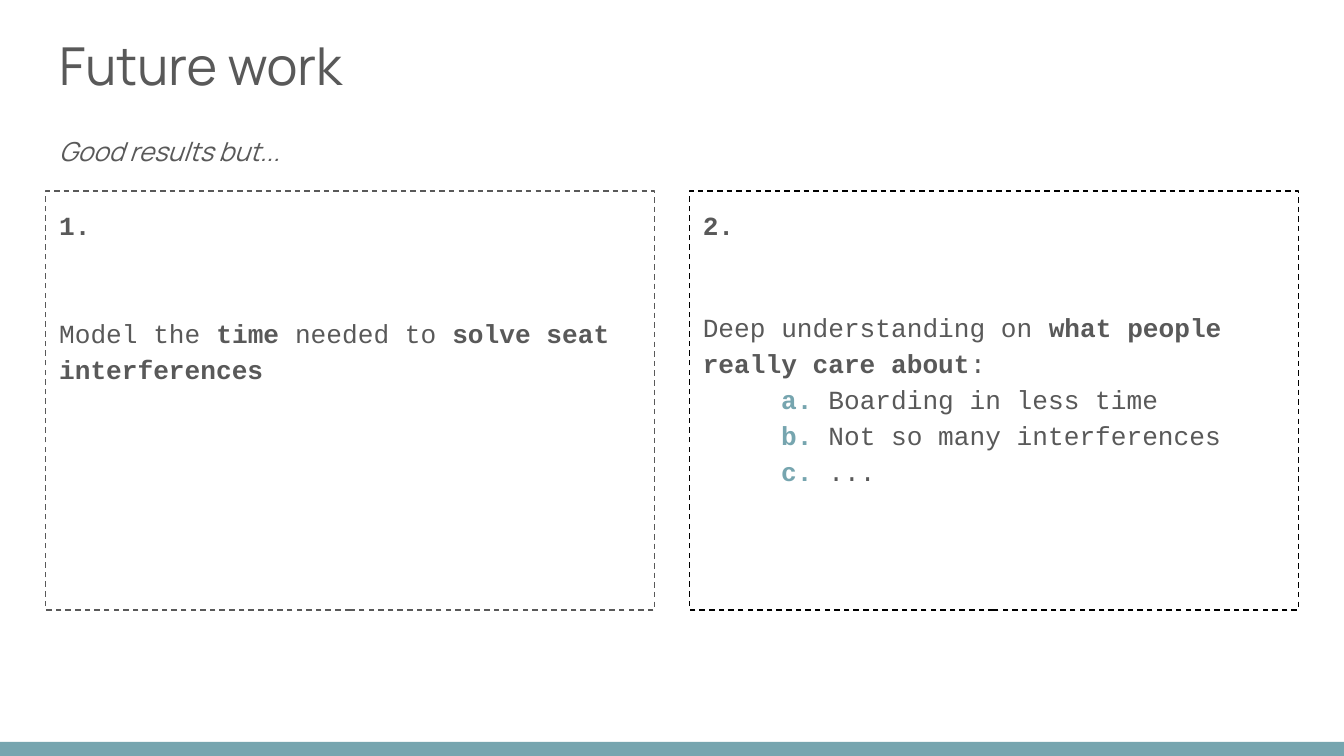
from dataclasses import dataclass

from lxml import etree
from pptx import Presentation
from pptx.dml.color import RGBColor
from pptx.enum.dml import MSO_LINE_DASH_STYLE as Dash
from pptx.enum.shapes import MSO_SHAPE as Shape
from pptx.enum.text import MSO_ANCHOR as Anchor, MSO_AUTO_SIZE as AutoSize, PP_ALIGN as Align
from pptx.oxml.ns import qn
from pptx.util import Pt

GREY, TEAL, WHITE, BLACK = "595959", "76A5AF", "FFFFFF", "000000"
MONO, SANS = "Courier New", "Manrope"
MARGIN, WIDTH = 24.5, 671
BOX_W, BOX_TOP, BOX_H = 326.2, 102.25, 224.5


@dataclass
class Run:
    text: str
    bold: bool = False
    color: str = GREY
    italic: bool = False
    font: str = MONO
    size: float = 14


@dataclass
class Para:
    runs: list[Run]
    before: float = 0
    indent: float = 0
    spacing: float = 1.15


@dataclass
class Box:
    line: str
    fill: str | None
    paras: list[Para]


def rgb(value: str) -> RGBColor:
    return RGBColor.from_string(value)


def place(s, left: float, top: float, width: float, height: float) -> None:
    s.left, s.top, s.width, s.height = Pt(left), Pt(top), Pt(width), Pt(height)


def write(s, paras: list[Para]) -> None:
    tf = s.text_frame
    tf.word_wrap = True
    tf.auto_size = AutoSize.NONE
    tf.vertical_anchor = Anchor.TOP
    tf.margin_left = tf.margin_right = tf.margin_top = tf.margin_bottom = Pt(7.2)
    for i, para in enumerate(paras):
        p = tf.add_paragraph() if i else tf.paragraphs[0]
        p.alignment = Align.LEFT
        p.line_spacing = para.spacing
        p.space_before, p.space_after = Pt(para.before), Pt(0)
        # Plain paragraph: own indent, no bullet
        pPr = p._p.get_or_add_pPr()
        pPr.set("marL", str(Pt(para.indent)))
        pPr.set("indent", "0")
        etree.SubElement(pPr, qn("a:buNone"))
        for run in para.runs:
            r = p.add_run()
            r.text = run.text
            f = r.font
            f.name, f.size, f.bold, f.italic = run.font, Pt(run.size), run.bold, run.italic
            f.color.rgb = rgb(run.color)


def draw_box(s, box: Box, left: float) -> None:
    place(s, left, BOX_TOP, BOX_W, BOX_H)
    if box.fill:
        s.fill.solid()
        s.fill.fore_color.rgb = rgb(box.fill)
    s.line.color.rgb = rgb(box.line)
    s.line.width = Pt(0.75)
    s.line.dash_style = Dash.DASH
    write(s, box.paras)


def option(letter: str, text: str) -> Para:
    return Para([Run(f"{letter}. ", True, TEAL), Run(text)], indent=42)


BOXES = [
    Box(GREY, WHITE, [
        Para([Run("1.", True)]),
        Para([Run("Model the "), Run("time ", True), Run("needed to "),
              Run("solve seat interferences", True)], before=39),
    ]),
    Box(BLACK, None, [
        Para([Run("2.", True)]),
        Para([Run("Deep understanding on "), Run("what people really care about", True),
              Run(":")], before=35.4),
        option("a", "Boarding in less time"),
        option("b", "Not so many interferences"),
        option("c", "..."),
    ]),
]

prs = Presentation()
prs.slide_width, prs.slide_height = Pt(720), Pt(405)
slide = prs.slides.add_slide(prs.slide_layouts[3])
title, *bodies = slide.placeholders

# Title
place(title, MARGIN, 10.8, WIDTH, 45.4)
write(title, [Para([Run("Future work", font=SANS, size=28)], spacing=1)])

# Footer bar
bar = slide.shapes.add_shape(Shape.RECTANGLE, Pt(0), Pt(397.5), Pt(720), Pt(7.5))
bar.shadow.inherit = False
bar.fill.solid()
bar.fill.fore_color.rgb = rgb(TEAL)
bar.line.fill.background()

# Two dashed boxes, flush with both margins
for i, (body, box) in enumerate(zip(bodies, BOXES)):
    draw_box(body, box, MARGIN + i * (WIDTH - BOX_W))

# Subtitle
subtitle = slide.shapes.add_textbox(Pt(MARGIN), Pt(62.6), Pt(WIDTH), Pt(40.3))
write(subtitle, [Para([Run("Good results but...", italic=True, font=SANS)])])

prs.save("out.pptx")
